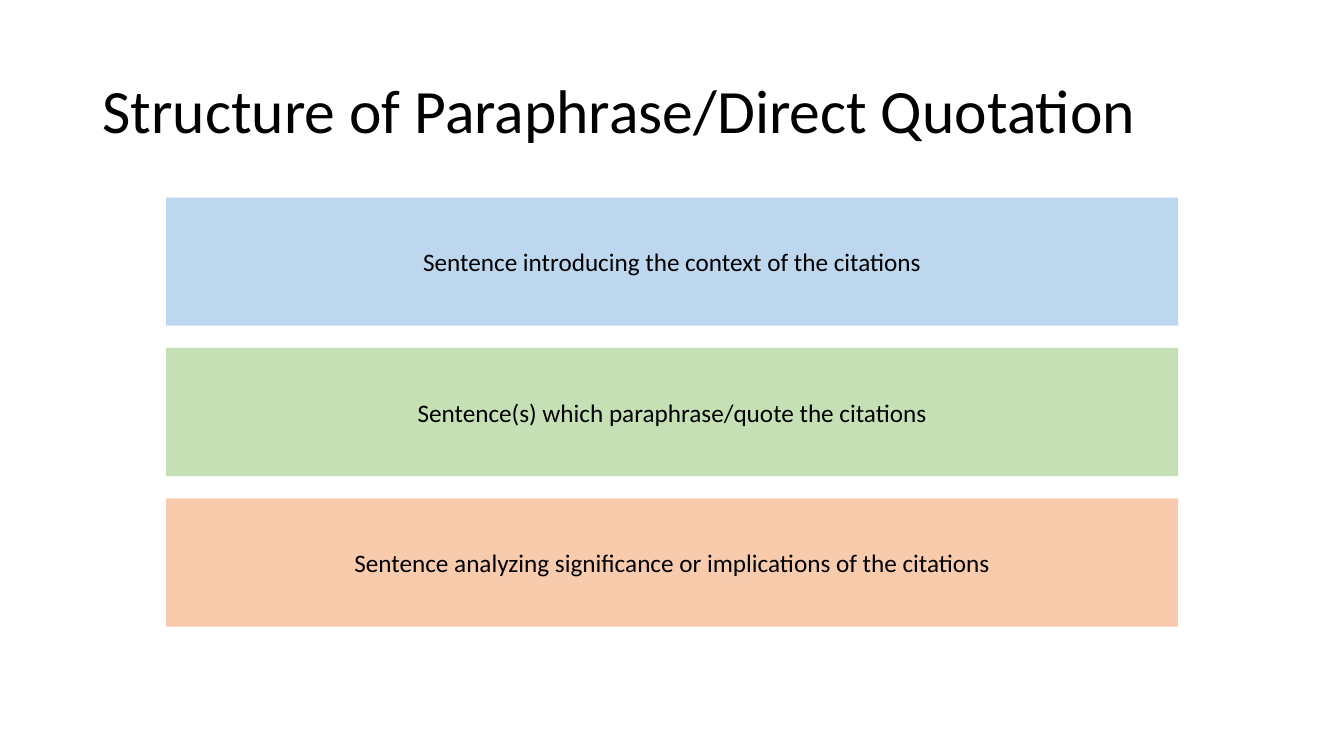
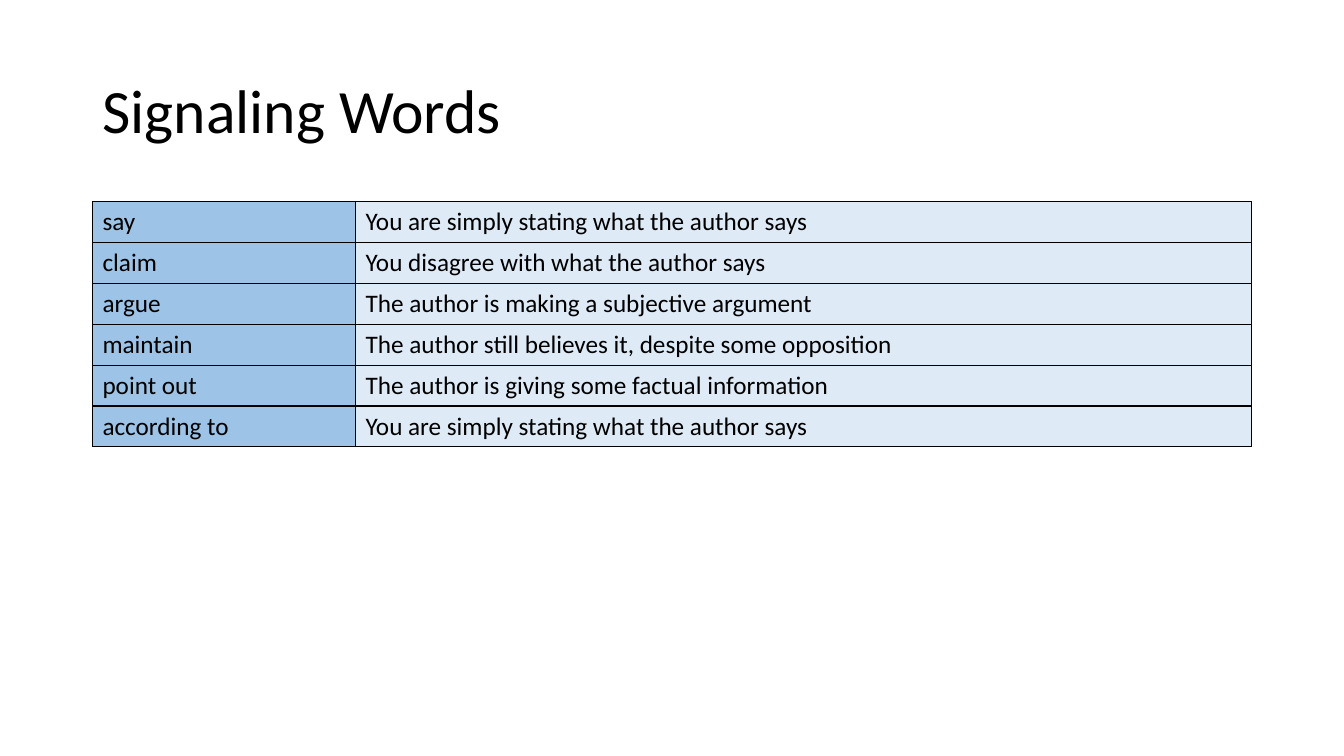
import dataclasses

import lxml.etree
import pptx
import pptx.dml.color
import pptx.enum.shapes
import pptx.enum.text
import pptx.oxml.ns
import pptx.util

Cm = pptx.util.Cm
Pt = pptx.util.Pt
ALIGN = pptx.enum.text.PP_ALIGN
MIDDLE = pptx.enum.text.MSO_ANCHOR.MIDDLE


@dataclasses.dataclass(frozen=True)
class Theme:
    """Colours, font and type sizes of the deck."""
    font: str = "Calibri"
    ink: str = "000000"
    blue: str = "BDD7EE"
    green: str = "C5E0B4"
    peach: str = "F8CBAD"
    key: str = "9DC3E6"
    pale: str = "DEEBF7"
    title: int = 44
    body: int = 18
    rule: int = 1


class Deck:
    """Holds the style and the current slide."""

    def __init__(self, theme):
        """Start an empty widescreen deck."""
        self.theme = theme
        self.file = pptx.Presentation()
        self.file.slide_width = Cm(33.87)
        self.file.slide_height = Cm(19.05)
        self.slide = None

    def label(self, frame, text, size, align=ALIGN.LEFT):
        """Put one styled paragraph in a text frame and return it."""
        frame.text = text
        para = frame.paragraphs[0]
        para.alignment = align
        para.font.name = self.theme.font
        para.font.size = Pt(size)
        para.font.color.rgb = pptx.dml.color.RGBColor.from_string(self.theme.ink)
        return para

    def paint(self, item, color):
        """Fill a shape or cell with a solid colour."""
        item.fill.solid()
        item.fill.fore_color.rgb = pptx.dml.color.RGBColor.from_string(color)

    def page(self, text):
        """Add a slide with its title."""
        self.slide = self.file.slides.add_slide(self.file.slide_layouts[5])
        title = self.slide.shapes.title
        title.left, title.top = Cm(2.33), Cm(1.01)
        title.width, title.height = Cm(29.21), Cm(3.68)
        para = self.label(title.text_frame, text, self.theme.title)
        para.line_spacing = 0.9
        title.text_frame.word_wrap = True
        title.text_frame.vertical_anchor = MIDDLE

    def bar(self, top, text, color):
        """Add a wide coloured bar with centred text."""
        bar = self.slide.shapes.add_shape(
            pptx.enum.shapes.MSO_SHAPE.RECTANGLE,
            Cm(4.19), Cm(top), Cm(25.5), Cm(3.23))
        bar.shadow.inherit = False
        bar.line.fill.background()
        self.paint(bar, color)
        self.label(bar.text_frame, text, self.theme.body, ALIGN.CENTER)
        bar.text_frame.vertical_anchor = MIDDLE

    def frame(self, cell):
        """Draw a thin line on all four sides of a cell."""
        qn = pptx.oxml.ns.qn
        props = cell._tc.get_or_add_tcPr()
        for spot, side in enumerate(("lnL", "lnR", "lnT", "lnB")):
            line = lxml.etree.Element(qn(f"a:{side}"), w=str(Pt(self.theme.rule)))
            fill = lxml.etree.SubElement(line, qn("a:solidFill"))
            lxml.etree.SubElement(fill, qn("a:srgbClr"), val=self.theme.ink)
            props.insert(spot, line)

    def table(self, rows, widths, colors, high):
        """Add a ruled table with one fill colour per column."""
        table = self.slide.shapes.add_table(
            len(rows), len(widths), Cm(2.33), Cm(5.08),
            Cm(sum(widths)), Cm(high * len(rows))).table
        table.first_row = table.horz_banding = False
        for col, width in zip(table.columns, widths):
            col.width = Cm(width)
        for row, texts in zip(table.rows, rows):
            row.height = Cm(high)
            for cell, text, color in zip(row.cells, texts, colors):
                self.label(cell.text_frame, text, self.theme.body)
                self.paint(cell, color)
                self.frame(cell)


def steps(deck):
    """Build the slide on the parts of a citation."""
    deck.page("Structure of Paraphrase/Direct Quotation")
    parts = (
        ("Sentence introducing the context of the citations", deck.theme.blue),
        ("Sentence(s) which paraphrase/quote the citations", deck.theme.green),
        ("Sentence analyzing significance or implications of the citations",
         deck.theme.peach),
    )
    for spot, (text, color) in enumerate(parts):
        deck.bar(4.98 + 3.79 * spot, text, color)


def words(deck):
    """Build the slide on signaling words."""
    deck.page("Signaling Words")
    rows = (
        ("say", "You are simply stating what the author says"),
        ("claim", "You disagree with what the author says"),
        ("argue", "The author is making a subjective argument"),
        ("maintain", "The author still believes it, despite some opposition"),
        ("point out", "The author is giving some factual information"),
        ("according to", "You are simply stating what the author says"),
    )
    deck.table(rows, (6.63, 22.58), (deck.theme.key, deck.theme.pale), 1.03)


deck = Deck(Theme())
steps(deck)
words(deck)
deck.file.save("out.pptx")
